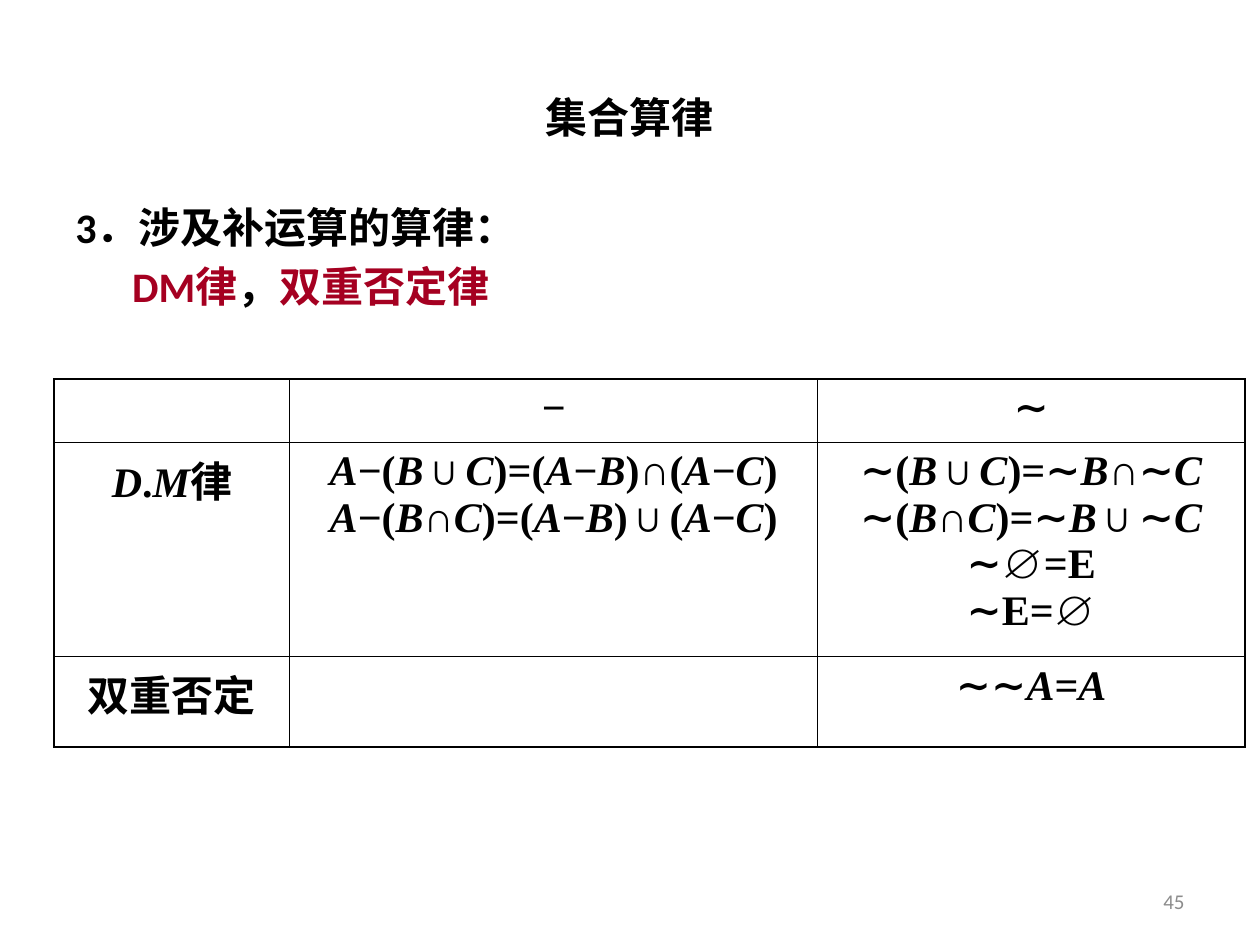
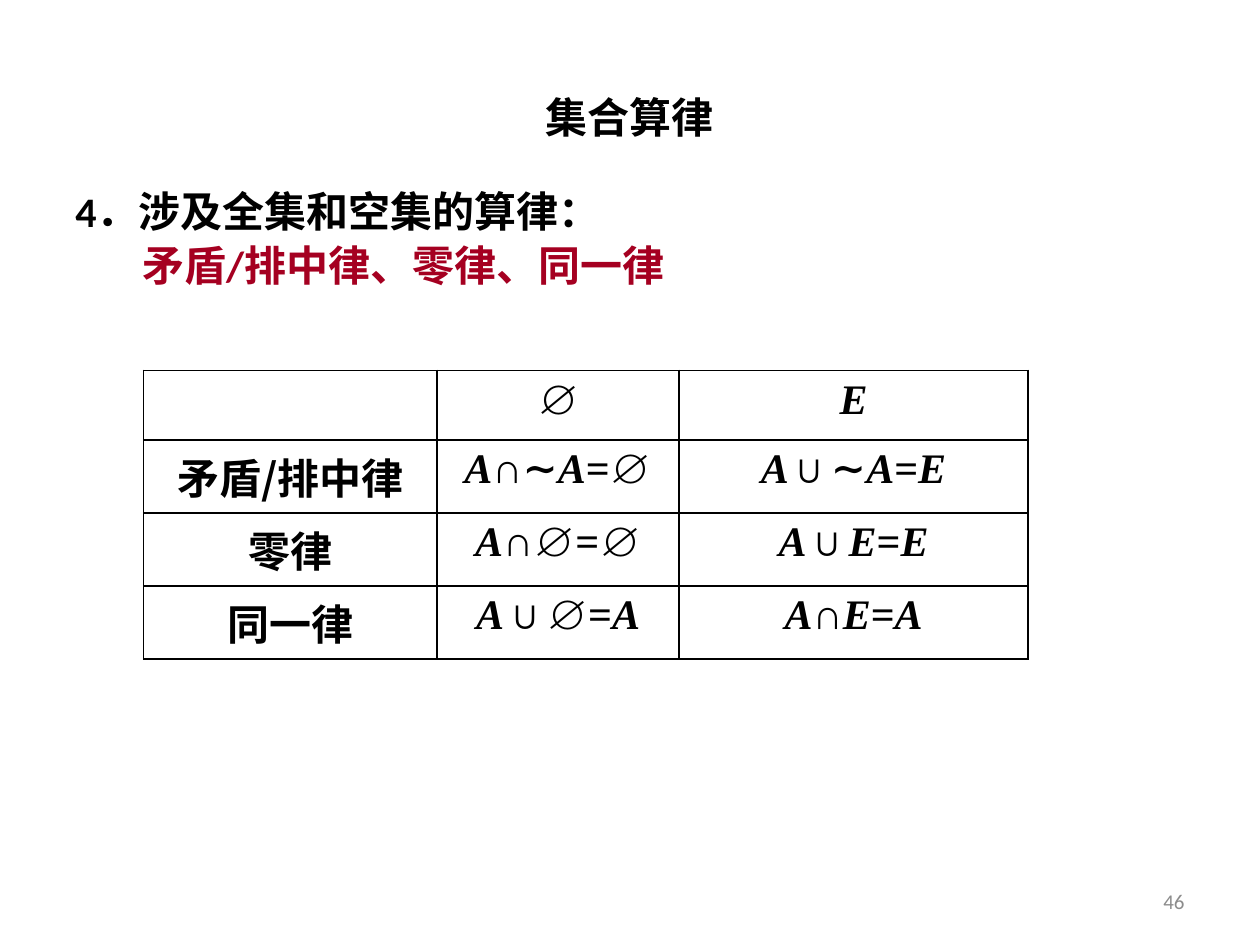
from dataclasses import dataclass
from itertools import groupby

from lxml.etree import SubElement
from pptx import Presentation
from pptx.dml.color import RGBColor
from pptx.enum.text import MSO_ANCHOR as Anchor, PP_ALIGN as Align
from pptx.oxml import parse_xml
from pptx.oxml.ns import nsdecls, qn
from pptx.util import Inches, Pt

BLACK = RGBColor(0x00, 0x00, 0x00)
RED = RGBColor(0xA5, 0x00, 0x21)
GRAY = RGBColor(0x8C, 0x8C, 0x8C)
SANS, SERIF, HAN = "Calibri", "Times New Roman", "Noto Sans CJK SC"


@dataclass
class Run:
    text: str
    color: RGBColor = BLACK
    font: str = SANS
    italic: bool = False


@dataclass
class Grid:
    left: float
    top: float
    cols: list[float]
    rows: list[float]
    italics: str
    cells: list[list[str]]


@dataclass
class Page:
    number: int
    top: float
    height: float
    heading: str
    laws: list[Run]
    indent: float
    spacing: float
    grid: Grid


PAGES = [
    Page(45, 1.55, 1.1, "3．涉及补运算的算律：",
         [Run("DM律", RED), Run("，"), Run("双重否定律", RED)], 0.45, 1.0,
         Grid(0.43, 3.01, [1.87, 4.19, 3.39], [0.5, 1.7, 0.72], "ABCDM", [
             ["", "−", "∼"],
             ["D.M律",
              "A−(B∪C)=(A−B)∩(A−C)\nA−(B∩C)=(A−B)∪(A−C)",
              "∼(B∪C)=∼B∩∼C\n∼(B∩C)=∼B∪∼C\n∼∅=E\n∼E=∅"],
             ["双重否定", "", "∼∼A=A"],
         ])),
    Page(46, 1.47, 0.94, "4．涉及全集和空集的算律：",
         [Run("矛盾/排中律、零律、同一律", RED)], 0.53, 0.9,
         Grid(1.14, 2.94, [2.33, 1.92, 2.77], [0.55, 0.58, 0.58, 0.58], "AE", [
             ["", "∅", "E"],
             ["矛盾/排中律", "A∩∼A=∅", "A∪∼A=E"],
             ["零律", "A∩∅=∅", "A∪E=E"],
             ["同一律", "A∪∅=A", "A∩E=A"],
         ])),
]


def write(frame, lines: list[list[Run]], *, size: int = 24, bold: bool = True,
          align: Align = Align.LEFT, spacing: float = 1.0, gap: float = 0,
          indent: float = 0) -> None:
    """Write one paragraph per line; gap and indent apply after the first."""
    for index, line in enumerate(lines):
        para = frame.add_paragraph() if index else frame.paragraphs[0]
        para.alignment = align
        para.line_spacing = spacing
        if index and gap:
            para.space_before = Pt(gap)
        if index and indent:
            props = para._p.get_or_add_pPr()
            props.set("marL", str(Inches(indent)))
            props.set("indent", "0")
        for part in line:
            run = para.add_run()
            run.text = part.text
            font = run.font
            font.size, font.bold, font.italic = Pt(size), bold, part.italic
            font.color.rgb = part.color
            font.name = part.font
            SubElement(font._element, qn("a:ea"), typeface=part.font)


def add_box(slide, left: float, top: float, width: float, height: float,
            anchor: Anchor = Anchor.MIDDLE):
    box = slide.shapes.add_textbox(*map(Inches, (left, top, width, height)))
    frame = box.text_frame
    frame.word_wrap = True
    frame.vertical_anchor = anchor
    return frame


def split(line: str, italics: str) -> list[Run]:
    """Part a formula into set names, Chinese words and symbols."""
    def style(char: str) -> tuple[str, bool]:
        return HAN if char >= "一" or char == "/" else SERIF, char in italics

    return [Run("".join(chars), font=font, italic=slant)
            for (font, slant), chars in groupby(line, style)]


def edge(cell) -> None:
    props = cell._tc.get_or_add_tcPr()
    for side in "LRTB":
        props.append(parse_xml(
            f'<a:ln{side} {nsdecls("a")} w="{Pt(1)}"><a:solidFill>'
            f'<a:srgbClr val="{BLACK}"/></a:solidFill></a:ln{side}>'))


def add_grid(slide, grid: Grid) -> None:
    sizes = (grid.left, grid.top, sum(grid.cols), sum(grid.rows))
    table = slide.shapes.add_table(
        len(grid.rows), len(grid.cols), *map(Inches, sizes)).table
    table.first_row = table.horz_banding = False
    for col, width in zip(table.columns, grid.cols):
        col.width = Inches(width)
    for row, height, texts in zip(table.rows, grid.rows, grid.cells):
        row.height = Inches(height)
        for cell, text in zip(row.cells, texts):
            edge(cell)
            cell.fill.background()
            lines = [split(line, grid.italics) for line in text.split("\n")]
            write(cell.text_frame, lines, align=Align.CENTER)


def add_page(deck, page: Page) -> None:
    slide = deck.slides.add_slide(deck.slide_layouts[6])
    write(add_box(slide, 7.17, 6.95, 2.33, 0.4),
          [[Run(str(page.number), GRAY)]],
          size=12, bold=False, align=Align.RIGHT)
    write(add_box(slide, 0.5, 0.3, 9, 1.25), [[Run("集合算律")]],
          align=Align.CENTER)
    write(add_box(slide, 0.5, page.top, 9, page.height, Anchor.TOP),
          [[Run(page.heading)], page.laws],
          spacing=page.spacing, gap=4.8, indent=page.indent)
    add_grid(slide, page.grid)


def main() -> None:
    deck = Presentation()
    deck.slide_width, deck.slide_height = Inches(10), Inches(7.5)
    for page in PAGES:
        add_page(deck, page)
    deck.save("out.pptx")


if __name__ == "__main__":
    main()
